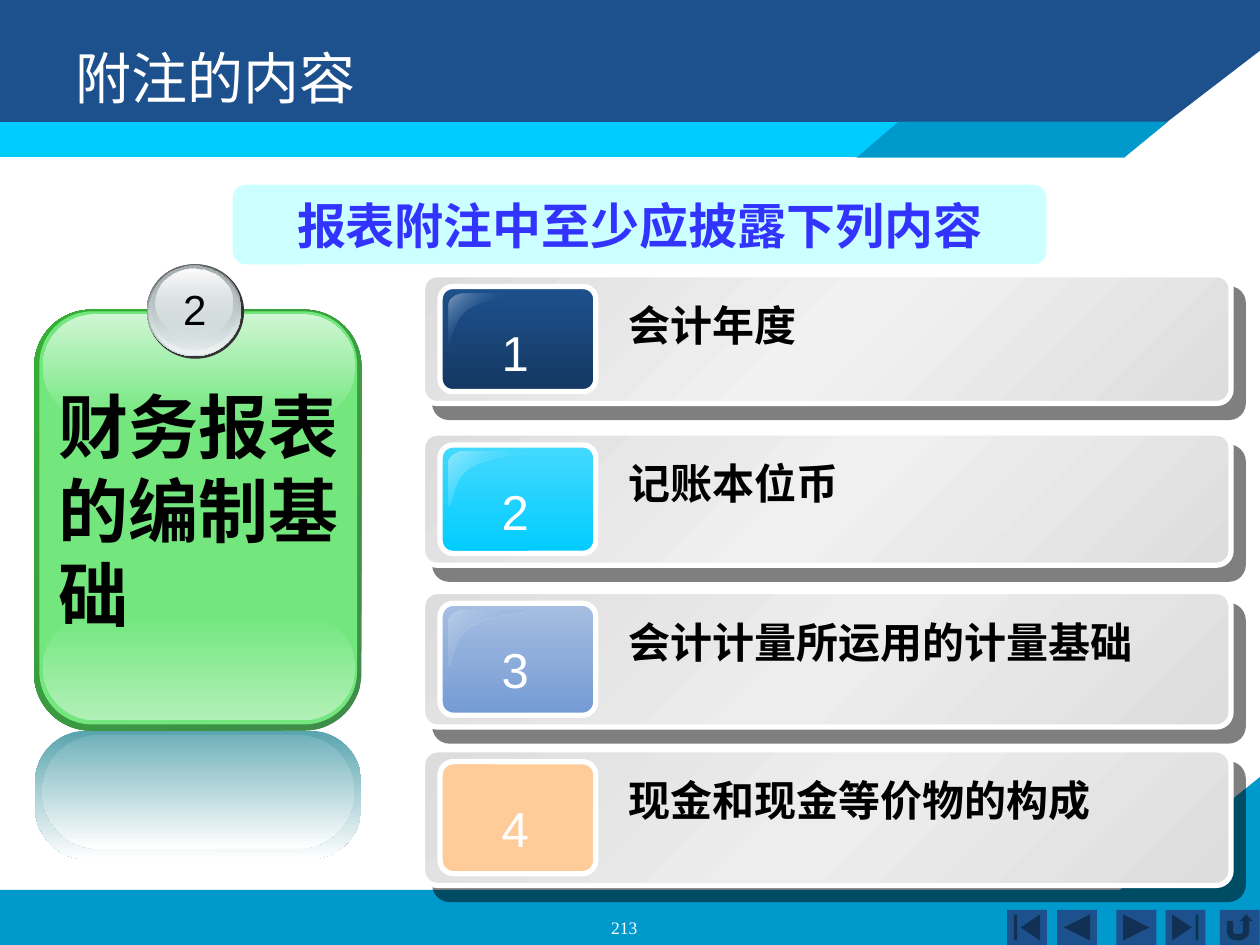
"""Build the slide on the contents of notes to financial statements."""
from dataclasses import dataclass

from lxml import etree
from pptx import Presentation
from pptx.dml.color import RGBColor
from pptx.enum.shapes import MSO_SHAPE
from pptx.enum.text import MSO_ANCHOR, PP_ALIGN
from pptx.oxml.ns import qn
from pptx.util import Pt


@dataclass(frozen=True)
class Theme:
    navy: str = "1D518D"
    cyan: str = "00CCFF"
    blue: str = "0099CB"
    pale: str = "CCFFFF"
    violet: str = "3333FF"
    green: str = "73E77E"
    silver: str = "DDDDDD"
    white: str = "FFFFFF"
    black: str = "000000"
    latin: str = "Arial"
    title_font: str = "Noto Sans CJK SC"
    topic_font: str = "DejaVu Sans"
    page_font: str = "Times New Roman"
    title: int = 32
    topic: int = 40
    heading: int = 28
    label: int = 24
    page: int = 10


T = Theme()
TITLE = "附注的内容"
HEADING = "报表附注中至少应披露下列内容"
TOPIC_NUMBER, TOPIC = "2", "财务报表的编制基础"
PAGE = "213"

DOWN, DIAGONAL = 90, 225
ROWS = [
    ("会计年度", 73.5, "F1F1F1", [(0, T.navy), (100, "143862")],
     [(0, "839FC0"), (50, T.navy, 0), (100, "839FC0")]),
    ("记账本位币", 75.5, "F0F0F0", [(0, "45D9FE"), (100, T.cyan)],
     [(0, T.cyan, 0), (100, "92E8FE")]),
    ("会计计量所运用的计量基础", 77.5, "EDEDED", [(0, "A6BEE2"), (100, "749BD4")],
     [(0, "749BD4", 0), (100, "BACDE9")]),
    ("现金和现金等价物的构成", 77.5, "EDEDED", "FFCC99", None),
]
ROW_TOP, ROW_PITCH = 157, 90.5

BACKDROP = [
    ([(0, 508.5), (640, 508.5), (720, 444), (720, 540), (0, 540)], T.blue),
    ([(0, 0), (720, 0), (720, 29), (642.5, 88.5), (0, 89.5)], T.navy),
    ([(0, 70), (608, 70), (608, 90), (0, 90)], T.cyan),
    ([(489.5, 90), (642.5, 90), (667.5, 69.5), (513.5, 69.5)], T.blue),
]
BUTTONS = [
    (MSO_SHAPE.ACTION_BUTTON_BEGINNING, 575.5),
    (MSO_SHAPE.ACTION_BUTTON_BACK_OR_PREVIOUS, 604),
    (MSO_SHAPE.ACTION_BUTTON_FORWARD_OR_NEXT, 638),
    (MSO_SHAPE.ACTION_BUTTON_END, 666),
    (MSO_SHAPE.ACTION_BUTTON_RETURN, 697),
]
ROUND, OVAL = MSO_SHAPE.ROUNDED_RECTANGLE, MSO_SHAPE.OVAL
CARD = [
    (ROUND, (19.5, 177, 187, 240.5), [(0, "3F8B4A"), (100, "34B034")], 0.174, DIAGONAL),
    (ROUND, (22.5, 178, 181.5, 236), T.green, 0.166, DOWN),
    (ROUND, (24.5, 351.5, 178.5, 60), [(0, T.green), (100, "B1F0B7")], 0.5, DOWN),
    (ROUND, (24.5, 179.5, 178.5, 60), [(0, "CFF6D3"), (100, T.green)], 0.5, DOWN),
    (OVAL, (84, 151, 55.5, 54), "333333", None, DOWN),
    (OVAL, (84, 151, 54, 52.5), [(0, "626768"), (100, "D6E1E2")], None, DOWN),
    (OVAL, (85, 151.5, 52.5, 51), [(0, "D6E1E2", 0), (100, "EFF3F3")], None, DOWN),
    (OVAL, (86, 152, 49.5, 47.5), [(0, "A8B1B2"), (100, "D6E1E2", 48)], None, DOWN),
    (OVAL, (89, 153.5, 44, 39), [(0, "FEFEFE"), (100, "D6E1E2", 38)], None, DOWN),
    (ROUND, (20, 417.5, 186.5, 73.5), [(0, "58A4AE"), (100, T.white)], 0.404, DOWN),
    (ROUND, (24, 420, 178.5, 65), [(0, "72B2BB"), (100, T.white)], 0.5, DOWN),
]
GLARE = [
    [(0.19, 0), (0.1, 0), (0, 0.1), (0, 0.21)],
    [(0, 0.98), (0.05, 1), (0.03, 0.52), (0.27, 0.29)],
    [(0.27, 0.29), (0.52, 0.07), (1, 0.05), (0.98, 0)],
]


def add_color(parent, color, opacity=100):
    node = etree.SubElement(parent, qn("a:srgbClr"), val=color)
    if opacity < 100:
        etree.SubElement(node, qn("a:alpha"), val=str(opacity * 1000))


def paint(shape, fill, angle=DOWN, line=None):
    shape.shadow.inherit = False
    if isinstance(fill, str):
        shape.fill.solid()
        shape.fill.fore_color.rgb = RGBColor.from_string(fill)
    else:
        shape.fill.gradient()
        gradient = shape.element.spPr.find(qn("a:gradFill"))
        stops = gradient.find(qn("a:gsLst"))
        for stop in list(stops):
            stops.remove(stop)
        for position, *color in fill:
            add_color(etree.SubElement(stops, qn("a:gs"), pos=str(position * 1000)), *color)
        gradient.find(qn("a:lin")).set("ang", str(angle * 60000))
    if line:
        shape.line.color.rgb = RGBColor.from_string(line)
        shape.line.width = Pt(3)
    else:
        shape.line.fill.background()


def add_preset(slide, kind, box, fill, corner=None, angle=DOWN, line=None):
    shape = slide.shapes.add_shape(kind, *map(Pt, box))
    if corner is not None:
        shape.adjustments[0] = corner
    paint(shape, fill, angle, line)
    return shape


def add_outline(slide, points, fill, angle=DOWN):
    start, *rest = [(Pt(x), Pt(y)) for x, y in points]
    builder = slide.shapes.build_freeform(*start)
    builder.add_line_segments(rest, close=True)
    paint(builder.convert_to_shape(), fill, angle)


def cast_shadow(shape):
    effects = shape.element.spPr.find(qn("a:effectLst"))
    shadow = etree.SubElement(effects, qn("a:outerShdw"), dist=str(Pt(10.6)),
                              dir=str(49 * 60000), algn="ctr", rotWithShape="0")
    add_color(shadow, T.black, 50)


def write(frame, text, size, color, font=T.latin, bold=False, align=PP_ALIGN.LEFT, wrap=True):
    frame.word_wrap = wrap
    paragraph = frame.paragraphs[0]
    paragraph.alignment = align
    run = paragraph.add_run()
    run.text = text
    run.font.name, run.font.size, run.font.bold = font, Pt(size), bold
    run.font.color.rgb = RGBColor.from_string(color)


def add_text(slide, box, *args, **style):
    write(slide.shapes.add_textbox(*map(Pt, box)).text_frame, *args, **style)


def bezier(a, b, c, d, steps=10):
    for i in range(steps + 1):
        t = i / steps
        weights = ((1 - t) ** 3, 3 * t * (1 - t) ** 2, 3 * t * t * (1 - t), t ** 3)
        yield tuple(sum(w * p[axis] for w, p in zip(weights, (a, b, c, d))) for axis in (0, 1))


def add_row(slide, index, label, height, sheen, tile, glare):
    top = ROW_TOP + index * ROW_PITCH
    bar = [(0, T.silver), (50, sheen), (100, T.silver)]
    cast_shadow(add_preset(slide, ROUND, (241.5, top, 462, height), bar, 0.109, DIAGONAL, T.white))
    tile_height = height - 13.5
    add_preset(slide, ROUND, (251.5, top + 6.75, 89, tile_height), tile, 0.119, DOWN, T.white)
    if glare:
        points = [(256.5 + 44.5 * x, top + 10.75 + tile_height / 2 * y)
                  for curve in GLARE for x, y in bezier(*curve)]
        add_outline(slide, points, glare, DIAGONAL)
    add_text(slide, (279.5, top + 24, 29.5, 41), str(index + 1), T.heading, T.white,
             align=PP_ALIGN.CENTER, wrap=False)
    add_text(slide, (352, top + 10.5, 340, 36), label, T.label, T.black, bold=True)


def main():
    deck = Presentation()
    deck.slide_width, deck.slide_height = Pt(720), Pt(540)
    slide = deck.slides.add_slide(deck.slide_layouts[5])
    title = slide.shapes.title
    for points, color in BACKDROP:
        add_outline(slide, points, color)
    for kind, left in BUTTONS:
        add_preset(slide, kind, (left, 520, 22.75, 20), T.navy)

    slide.shapes.element.append(title.element)
    title.left, title.top, title.width, title.height = map(Pt, (36, 21.5, 648, 90))
    title.text_frame.vertical_anchor = MSO_ANCHOR.TOP
    write(title.text_frame, TITLE, T.title, T.white, T.title_font)

    heading = add_preset(slide, ROUND, (133, 105.5, 465, 45.5), T.pale, 0.167)
    heading.text_frame.vertical_anchor = MSO_ANCHOR.MIDDLE
    write(heading.text_frame, HEADING, T.heading, T.violet, bold=True,
          align=PP_ALIGN.CENTER, wrap=False)

    for index, row in enumerate(ROWS):
        add_row(slide, index, *row)
    for layer in CARD:
        add_preset(slide, *layer)
    add_text(slide, (97.5, 158.5, 27, 36), TOPIC_NUMBER, T.label, T.black,
             align=PP_ALIGN.CENTER, wrap=False)
    add_text(slide, (26.5, 215.5, 178, 151), TOPIC, T.topic, T.black, T.topic_font, bold=True)
    add_text(slide, (273, 520.5, 167.5, 13), PAGE, T.page, T.white, T.page_font,
             align=PP_ALIGN.CENTER)
    deck.save("out.pptx")


if __name__ == "__main__":
    main()
